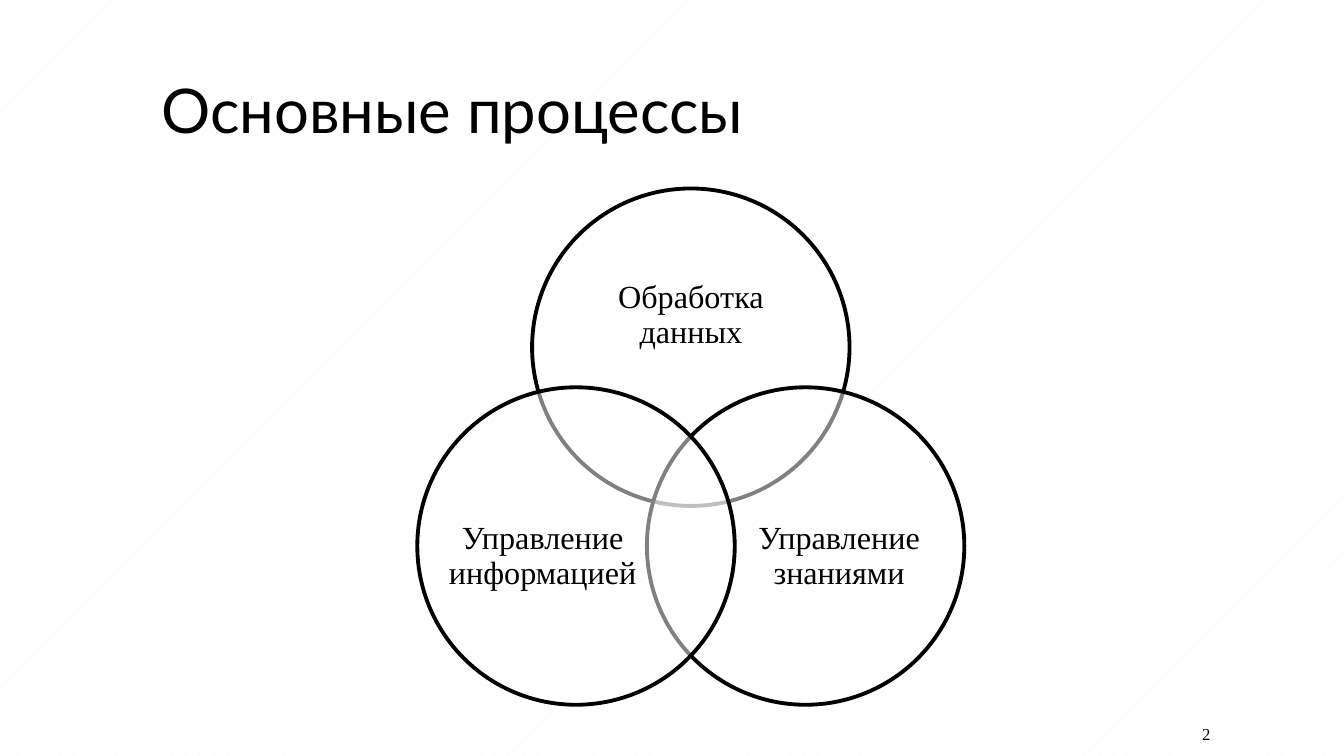
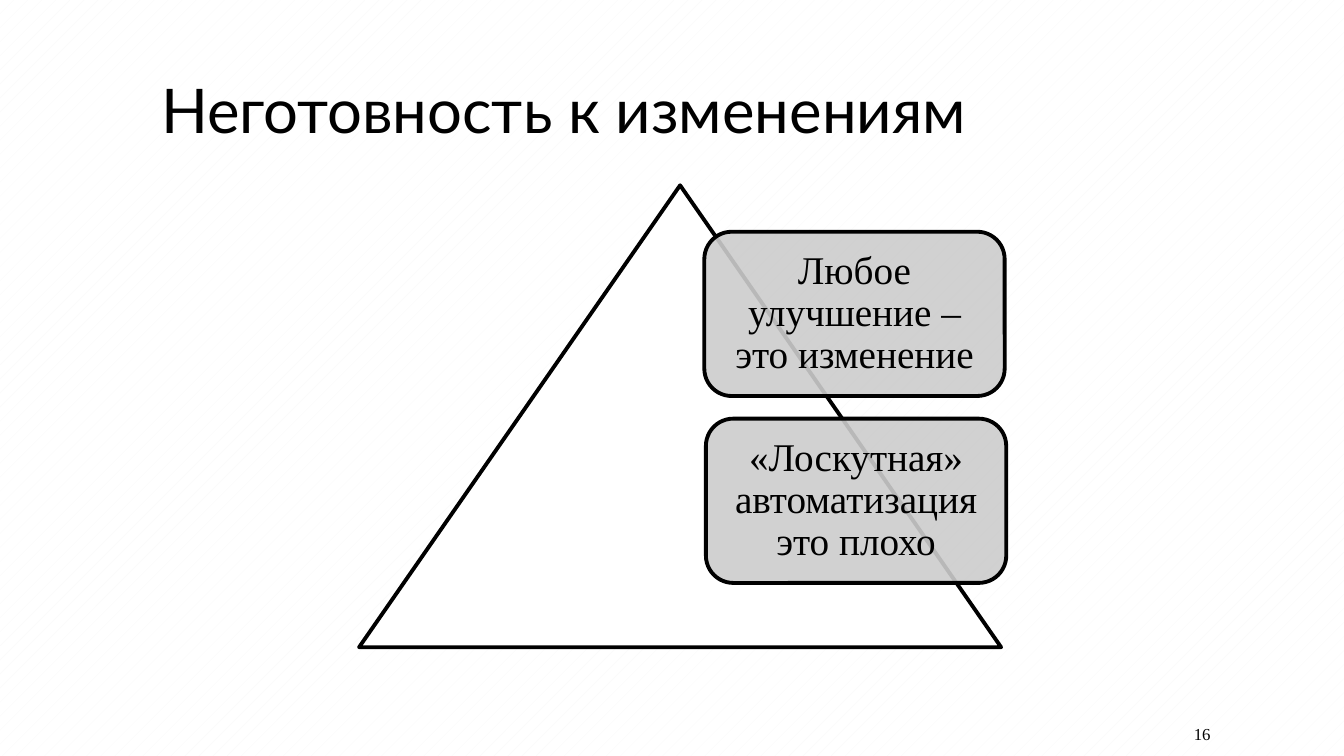
"""Build two slides: a Venn diagram of core processes and a pyramid of resistance to change."""
import math
from dataclasses import dataclass
from typing import Any

import lxml.etree
import pptx
import pptx.dml.color
import pptx.enum.dml
import pptx.enum.shapes
import pptx.enum.text
import pptx.oxml.ns
import pptx.presentation
import pptx.shapes.autoshape
import pptx.slide
import pptx.text.text
import pptx.util

Cm = pptx.util.Cm
Pt = pptx.util.Pt
RGB = pptx.dml.color.RGBColor
Kind = pptx.enum.shapes.MSO_SHAPE
Align = pptx.enum.text.PP_ALIGN
Anchor = pptx.enum.text.MSO_ANCHOR


@dataclass(frozen=True)
class Theme:
    """Colours, fonts and type sizes of the deck."""
    ink: RGB = RGB(0x00, 0x00, 0x00)
    paper: RGB = RGB(0xFF, 0xFF, 0xFF)
    texture: RGB = RGB(0xF8, 0xF8, 0xF8)
    card: RGB = RGB(0xCC, 0xCC, 0xCC)
    heading_font: str = "Lato"
    body_font: str = "Times New Roman"
    heading_size: float = 44
    circle_size: float = 23
    card_size: float = 28
    number_size: float = 12
    outline: float = 2.75


@dataclass(frozen=True)
class Box:
    """A rectangle in centimetres."""
    left: float
    top: float
    width: float
    height: float

    def emu(self) -> tuple[int, int, int, int]:
        """Return the rectangle as lengths for a new shape."""
        return Cm(self.left), Cm(self.top), Cm(self.width), Cm(self.height)


@dataclass(frozen=True)
class Process:
    """A circle of the Venn diagram with its label."""
    label: str
    angle: float
    label_box: Box


THEME = Theme()
TITLE_BOX = Box(3.81, 1.9, 26.67, 2.1)
NUMBER_BOX = Box(26.31, 17.93, 4.45, 1.12)

VENN_CENTRE = (17.41, 12.09)
VENN_ORBIT = 3.34
CIRCLE_DIAMETER = 8.0
PROCESSES = (
    Process("Обработка данных", -90, Box(14.48, 6.15, 5.87, 3.61)),
    Process("Управление знаниями", 30, Box(18.75, 11.84, 4.8, 4.39)),
    Process("Управление информацией", 150, Box(11.28, 11.84, 4.8, 4.39)),
)

PYRAMID_BOX = Box(9.05, 4.67, 16.18, 11.64)
FIRST_CARD = Box(17.75, 5.84, 7.57, 4.14)
CARD_STEP = (0.04, 4.71)
CARD_INSET = 0.3
OBSTACLES = ("Любое улучшение – это изменение", "«Лоскутная» автоматизация это плохо")


def apply(target: Any, values: dict[str, Any]) -> None:
    """Set every named value on the target."""
    for name, value in values.items():
        setattr(target, name, value)


def write(frame: pptx.text.text.TextFrame, wording: str, size: float, font: str = THEME.body_font,
          align: Align = Align.CENTER, anchor: Anchor = Anchor.MIDDLE,
          spacing: float = 0.9, inset: float | None = None) -> None:
    """Fill a text frame with one formatted paragraph."""
    apply(frame, {"text": wording, "word_wrap": True, "vertical_anchor": anchor,
                  "auto_size": pptx.enum.text.MSO_AUTO_SIZE.NONE})
    if inset is not None:
        sides = ("margin_left", "margin_top", "margin_right", "margin_bottom")
        apply(frame, dict.fromkeys(sides, Cm(inset)))
    paragraph = frame.paragraphs[0]
    apply(paragraph, {"alignment": align, "line_spacing": spacing})
    run_font = paragraph.runs[0].font
    apply(run_font, {"name": font, "size": Pt(size)})
    run_font.color.rgb = THEME.ink


def add_outlined(slide: pptx.slide.Slide, kind: Kind, box: Box, colour: RGB,
                 opacity: int = 100) -> pptx.shapes.autoshape.Shape:
    """Add an outlined shape with a fill of the given opacity in percent."""
    outlined = slide.shapes.add_shape(kind, *box.emu())
    outlined.shadow.inherit = False
    outlined.fill.solid()
    outlined.fill.fore_color.rgb = colour
    if opacity < 100:
        tint = outlined.element.spPr.find(".//" + pptx.oxml.ns.qn("a:srgbClr"))
        lxml.etree.SubElement(tint, pptx.oxml.ns.qn("a:alpha"), val=str(opacity * 1000))
    outlined.line.color.rgb = THEME.ink
    outlined.line.width = Pt(THEME.outline)
    return outlined


def add_titled_slide(deck: pptx.presentation.Presentation, heading: str,
                     number: int) -> pptx.slide.Slide:
    """Add a slide with its heading and page number."""
    slide = deck.slides.add_slide(deck.slide_layouts[5])
    title = slide.shapes.title
    apply(title, dict(zip(("left", "top", "width", "height"), TITLE_BOX.emu())))
    write(title.text_frame, heading, THEME.heading_size, THEME.heading_font,
          Align.LEFT, Anchor.TOP, 0.89)
    page_number = slide.shapes.add_textbox(*NUMBER_BOX.emu())
    write(page_number.text_frame, str(number), THEME.number_size, align=Align.RIGHT, spacing=1.0)
    return slide


def draw_process(slide: pptx.slide.Slide, process: Process) -> None:
    """Draw one circle of the Venn diagram and its label."""
    angle = math.radians(process.angle)
    radius = CIRCLE_DIAMETER / 2
    left = VENN_CENTRE[0] + VENN_ORBIT * math.cos(angle) - radius
    top = VENN_CENTRE[1] + VENN_ORBIT * math.sin(angle) - radius
    add_outlined(slide, Kind.OVAL, Box(left, top, CIRCLE_DIAMETER, CIRCLE_DIAMETER),
                 THEME.paper, 50)
    label = slide.shapes.add_textbox(*process.label_box.emu())
    write(label.text_frame, process.label, THEME.circle_size, inset=0)


def draw_obstacle(slide: pptx.slide.Slide, index: int, wording: str) -> None:
    """Draw one card over the pyramid."""
    box = Box(FIRST_CARD.left + index * CARD_STEP[0], FIRST_CARD.top + index * CARD_STEP[1],
              FIRST_CARD.width, FIRST_CARD.height)
    card = add_outlined(slide, Kind.ROUNDED_RECTANGLE, box, THEME.card, 90)
    write(card.text_frame, wording, THEME.card_size, inset=CARD_INSET)


def main() -> None:
    """Build and save the deck."""
    deck = pptx.Presentation()
    apply(deck, {"slide_width": Cm(33.87), "slide_height": Cm(19.05)})
    backdrop = deck.slide_master.background.fill
    backdrop.patterned()
    backdrop.pattern = pptx.enum.dml.MSO_PATTERN.PERCENT_5
    backdrop.fore_color.rgb = THEME.texture
    backdrop.back_color.rgb = THEME.paper

    processes = add_titled_slide(deck, "Основные процессы", 2)
    for process in PROCESSES:
        draw_process(processes, process)

    resistance = add_titled_slide(deck, "Неготовность к изменениям", 16)
    add_outlined(resistance, Kind.ISOSCELES_TRIANGLE, PYRAMID_BOX, THEME.paper)
    for index, wording in enumerate(OBSTACLES):
        draw_obstacle(resistance, index, wording)

    deck.save("out.pptx")


if __name__ == "__main__":
    main()
